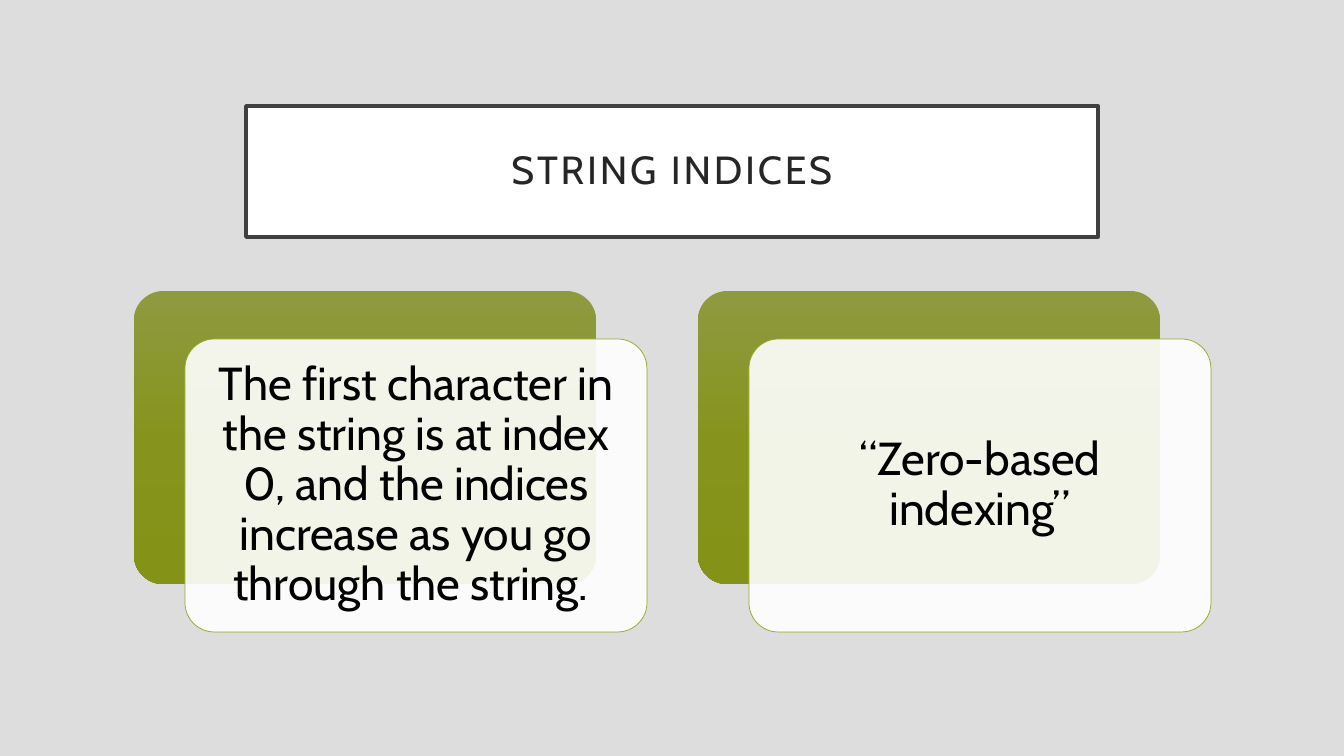
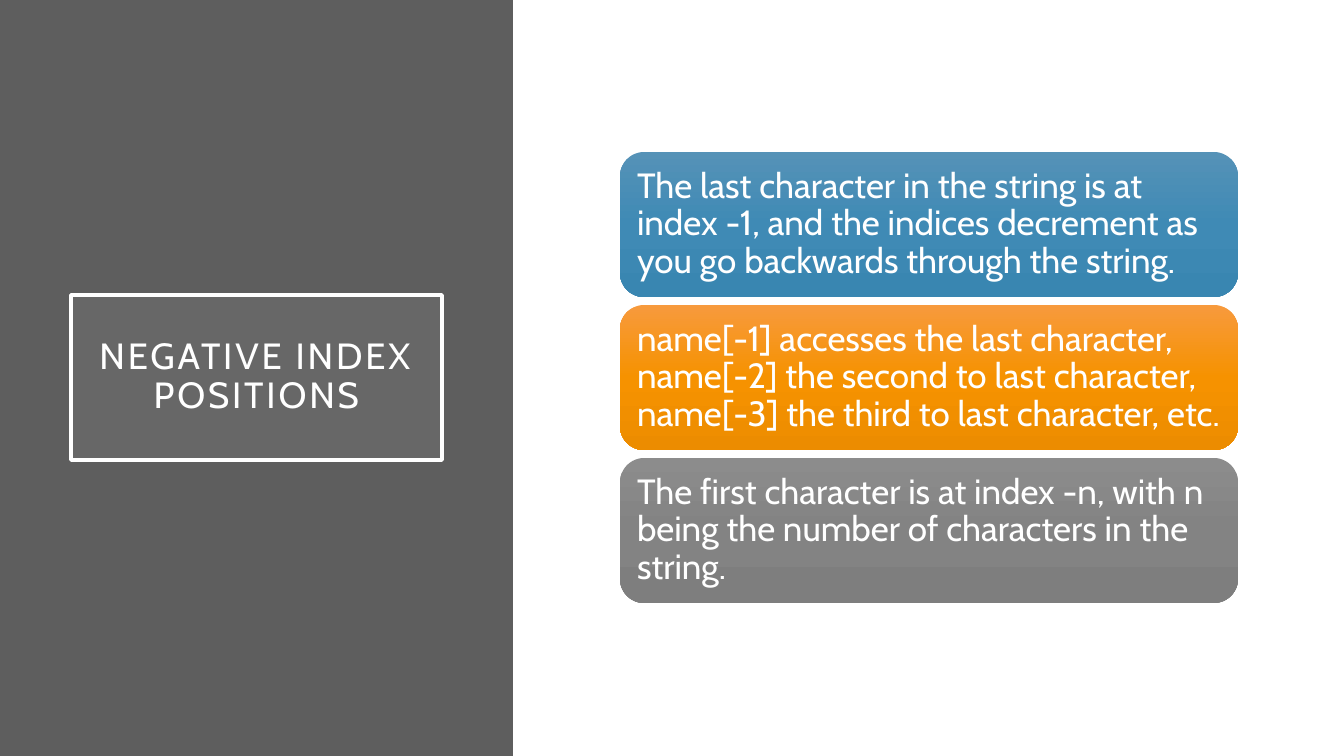
from copy import deepcopy

from pptx import Presentation
from pptx.dml.color import RGBColor
from pptx.enum.shapes import MSO_SHAPE as SHAPE
from pptx.enum.text import MSO_ANCHOR as ANCHOR, MSO_AUTO_SIZE as AUTO_SIZE, PP_ALIGN as ALIGN
from pptx.oxml.ns import qn
from pptx.oxml.xmlchemy import OxmlElement
from pptx.util import Emu, Pt

FONT = "Cabin"
WHITE, BLACK, INK = "FFFFFF", "000000", "262626"
PALE_GREY, PANEL_GREY, TITLE_TINT, FRAME = "DDDDDD", "5E5E5E", "9E9E9E", "404040"
CARD_EDGE = "97A623"
GREEN = ("8E9A3F", "86941E", "849218")
BLUE = ("5592B7", "3F8AB5", "3986B1")
ORANGE = ("F79A3D", "F69200", "EC8C00")
GREY = ("8C8C8C", "838383", "7E7E7E")

INDEX_TITLE = "STRING INDICES"
INDEX_CARDS = [
    "The first character in the string is at index 0, and the indices "
    "increase as you go through the string. ",
    "“Zero-based indexing”",
]
NEGATIVE_TITLE = "NEGATIVE INDEX POSITIONS"
NEGATIVE_NOTES = [
    ("The last character in the string is at index -1, and the indices "
     "decrement as you go backwards through the string.", BLUE),
    ("name[-1] accesses the last character, name[-2] the second to last "
     "character, name[-3] the third to last character, etc.", ORANGE),
    ("The first character is at index -n, with n being the number of "
     "characters in the string.", GREY),
]

SLIDE_W, SLIDE_H = 1344, 756
CARD_LEFT, CARD_TOP, CARD_W, CARD_H, CARD_PITCH = 134, 291, 462, 293, 564
CARD_SHIFT_X, CARD_SHIFT_Y = 51, 48
NOTE_LEFT, NOTE_TOP, NOTE_W, NOTE_H, NOTE_PITCH = 620, 152, 618, 145, 153


def px(length):
    return Emu(round(length * 914400 / 100.8))


def rgb(value):
    return RGBColor.from_string(value)


def fill_solid(shape, color, opacity=100):
    shape.fill.solid()
    shape.fill.fore_color.rgb = rgb(color)
    if opacity < 100:
        alpha = OxmlElement("a:alpha")
        alpha.set("val", str(opacity * 1000))
        shape.element.spPr.find(f"{qn('a:solidFill')}/{qn('a:srgbClr')}").append(alpha)


def fill_gradient(shape, colors):
    """Fill from top to bottom with three evenly spaced colours."""
    shape.fill.gradient()
    shape.fill.gradient_angle = 270
    stop_list = shape.element.spPr.find(f"{qn('a:gradFill')}/{qn('a:gsLst')}")
    stop_list.insert(1, deepcopy(stop_list[0]))
    for stop, color, position in zip(shape.fill.gradient_stops, colors, (0, 0.5, 1)):
        stop.color.rgb = rgb(color)
        stop.position = position


def outline(shape, color, width):
    shape.line.color.rgb = rgb(color)
    shape.line.width = Pt(width)


def add_block(slide, kind, box, corner=None):
    block = slide.shapes.add_shape(kind, *map(px, box))
    block.shadow.inherit = False
    block.line.fill.background()
    if corner is not None:
        block.adjustments[0] = corner
    return block


def write(shape, text, size, color, inset, align):
    frame = shape.text_frame
    frame.text = text
    frame.word_wrap = True
    frame.auto_size = AUTO_SIZE.NONE
    frame.vertical_anchor = ANCHOR.MIDDLE
    frame.margin_left = frame.margin_right = px(inset)
    frame.margin_top = frame.margin_bottom = px(inset)
    paragraph = frame.paragraphs[0]
    paragraph.alignment = align
    paragraph.line_spacing = 0.9
    run = paragraph.runs[0]
    run.font.name = FONT
    run.font.size = Pt(size)
    run.font.color.rgb = rgb(color)
    return run


def add_titled_slide(deck, background, text, box, size, color, frame_color):
    slide = deck.slides.add_slide(deck.slide_layouts[5])
    slide.background.fill.solid()
    slide.background.fill.fore_color.rgb = rgb(background)
    title = slide.shapes.title
    title.left, title.top, title.width, title.height = map(px, box)
    outline(title, frame_color, 2.5)
    run = write(title, text, size, color, 20, ALIGN.CENTER)
    run.font._element.set("spc", "200")
    return slide


def build_indices(deck):
    slide = add_titled_slide(deck, PALE_GREY, INDEX_TITLE, (246, 106, 852, 131), 28, INK, FRAME)
    fill_solid(slide.shapes.title, WHITE)
    for i, text in enumerate(INDEX_CARDS):
        left = CARD_LEFT + i * CARD_PITCH
        back = add_block(slide, SHAPE.ROUNDED_RECTANGLE, (left, CARD_TOP, CARD_W, CARD_H), 0.1)
        fill_gradient(back, GREEN)
        front_box = (left + CARD_SHIFT_X, CARD_TOP + CARD_SHIFT_Y, CARD_W, CARD_H)
        front = add_block(slide, SHAPE.ROUNDED_RECTANGLE, front_box, 0.1)
        fill_solid(front, WHITE, 90)
        outline(front, CARD_EDGE, 0.5)
        write(front, text, 33, BLACK, 14, ALIGN.CENTER)


def build_negative_positions(deck):
    slide = add_titled_slide(deck, WHITE, NEGATIVE_TITLE, (71, 295, 371, 165), 26, WHITE, WHITE)
    title = slide.shapes.title
    fill_solid(title, TITLE_TINT, 15)
    panel = add_block(slide, SHAPE.RECTANGLE, (0, 0, 513, SLIDE_H))
    fill_solid(panel, PANEL_GREY)
    title.element.addprevious(panel.element)
    for i, (text, colors) in enumerate(NEGATIVE_NOTES):
        box = (NOTE_LEFT, NOTE_TOP + i * NOTE_PITCH, NOTE_W, NOTE_H)
        note = add_block(slide, SHAPE.ROUNDED_RECTANGLE, box)
        fill_gradient(note, colors)
        write(note, text, 25, WHITE, 10, ALIGN.LEFT)


def main():
    deck = Presentation()
    deck.slide_width, deck.slide_height = px(SLIDE_W), px(SLIDE_H)
    build_indices(deck)
    build_negative_positions(deck)
    deck.save("out.pptx")


if __name__ == "__main__":
    main()
